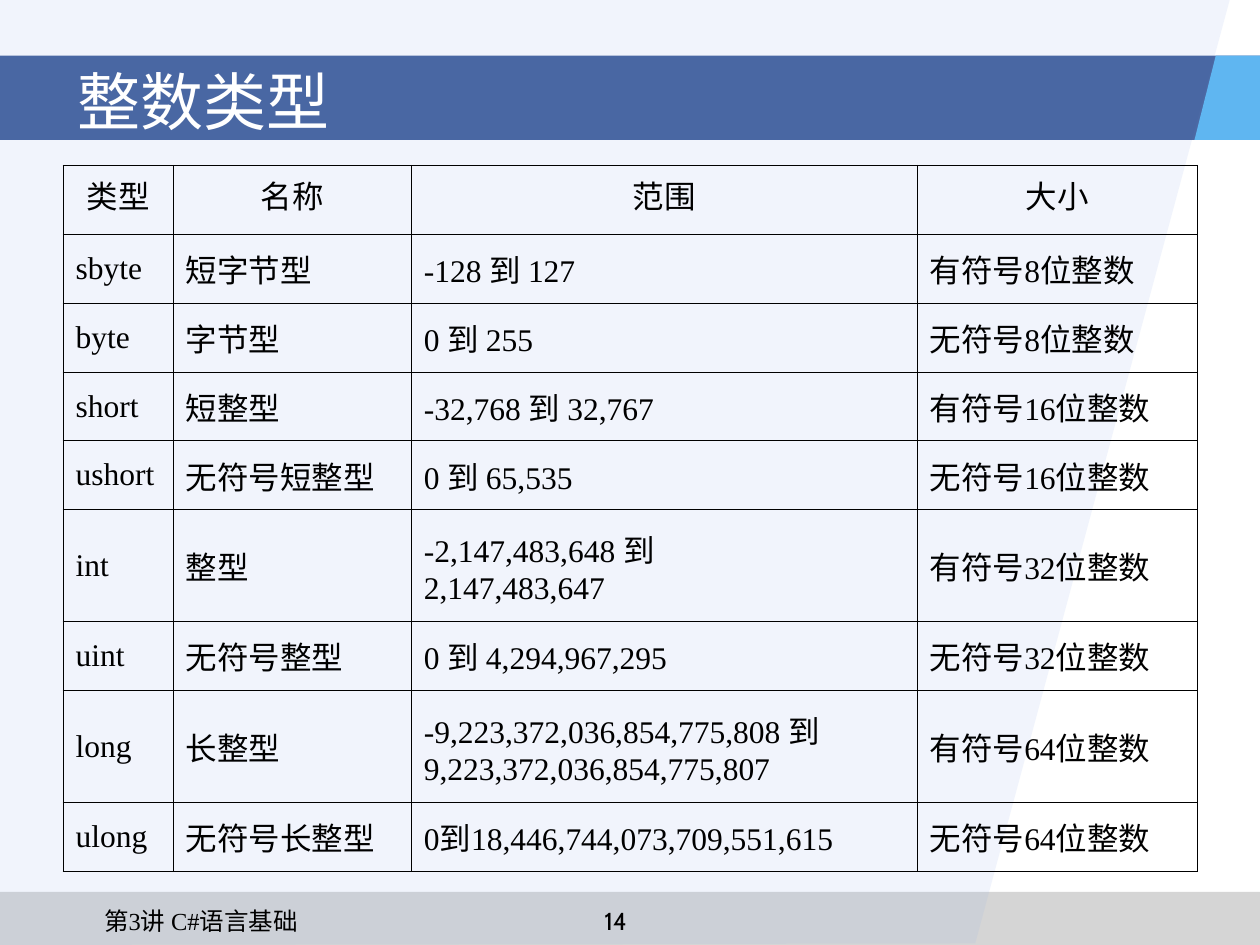
from lxml import etree
from pptx import Presentation
from pptx import util as u
from pptx.dml.color import RGBColor
from pptx.enum import shapes, text
from pptx.oxml.ns import qn

TITLE = "整数类型"
FOOTER = "第3讲 C#语言基础"
PAGE = "14"
HEADER = ["类型", "名称", "范围", "大小"]
TYPES = [
    ["sbyte", "短字节型", "-128 到 127", "有符号8位整数"],
    ["byte", "字节型", "0 到 255", "无符号8位整数"],
    ["short", "短整型", "-32,768 到 32,767", "有符号16位整数"],
    ["ushort", "无符号短整型", "0 到 65,535", "无符号16位整数"],
    ["int", "整型", "-2,147,483,648 到\n2,147,483,647", "有符号32位整数"],
    ["uint", "无符号整型", "0 到 4,294,967,295", "无符号32位整数"],
    ["long", "长整型", "-9,223,372,036,854,775,808 到\n9,223,372,036,854,775,807",
     "有符号64位整数"],
    ["ulong", "无符号长整型", "0到18,446,744,073,709,551,615", "无符号64位整数"],
]
COLUMNS = [2.22, 4.8, 10.2, 5.64]
ROW, TALL_ROW = 1.39, 2.26
SERIF, SANS = "Times New Roman", "Cabin"
WIDTH, HEIGHT = 25.4, 19.05
BAND_TOP, BAND_HEIGHT = 1.12, 1.7
BAND_BOTTOM = BAND_TOP + BAND_HEIGHT
FOOT_TOP = 17.98


def rgb(value):
    return RGBColor.from_string(value)


def paint(sp, color, alpha=100):
    sp.shadow.inherit = False
    sp.line.fill.background()
    sp.fill.solid()
    sp.fill.fore_color.rgb = rgb(color)
    if alpha < 100:
        node = sp.fill._xPr.find(".//" + qn("a:srgbClr"))
        etree.SubElement(node, qn("a:alpha"), val=str(alpha * 1000))


def add_band(s, top, height, color, alpha):
    sp = s.shapes.add_shape(shapes.MSO_SHAPE.RECTANGLE, 0, u.Cm(top), u.Cm(WIDTH), u.Cm(height))
    paint(sp, color, alpha)


def add_polygon(s, points, color, alpha=100):
    start, *rest = [(u.Cm(x), u.Cm(y)) for x, y in points]
    builder = s.shapes.build_freeform(*start)
    builder.add_line_segments(rest, close=True)
    paint(builder.convert_to_shape(), color, alpha)


def write(tf, content, size=18, font=SERIF, color="000000",
          align=text.PP_ALIGN.LEFT, anchor=text.MSO_ANCHOR.TOP):
    tf.word_wrap = True
    tf.vertical_anchor = anchor
    tf.text = content
    for p in tf.paragraphs:
        p.alignment = align
        for r in p.runs:
            r.font.size = u.Pt(size)
            r.font.name = font
            r.font.color.rgb = rgb(color)


def add_label(s, left, width, content, inset=0.25, **style):
    box = s.shapes.add_textbox(u.Cm(left), u.Cm(18.14), u.Cm(width), u.Cm(0.62))
    write(box.text_frame, content, size=14, **style)
    box.text_frame.margin_left = u.Cm(inset)


def add_borders(cell):
    tc_pr = cell._tc.get_or_add_tcPr()
    for i, side in enumerate(("lnL", "lnR", "lnT", "lnB")):
        ln = etree.Element(qn("a:" + side), w=str(u.Pt(0.45)))
        fill = etree.SubElement(ln, qn("a:solidFill"))
        etree.SubElement(fill, qn("a:srgbClr"), val="000000")
        tc_pr.insert(i, ln)


def add_types_table(s):
    rows = [HEADER] + TYPES
    heights = [TALL_ROW if "\n" in row[2] else ROW for row in rows]
    frame = s.shapes.add_table(len(rows), len(COLUMNS), u.Cm(1.27), u.Cm(3.33),
                               u.Cm(sum(COLUMNS)), u.Cm(sum(heights)))
    table = frame.table
    table.first_row = table.horz_banding = False
    for column, width in zip(table.columns, COLUMNS):
        column.width = u.Cm(width)
    for i, (row, height) in enumerate(zip(rows, heights)):
        table.rows[i].height = u.Cm(height)
        for j, content in enumerate(row):
            cell = table.cell(i, j)
            write(cell.text_frame, content,
                  align=text.PP_ALIGN.LEFT if i else text.PP_ALIGN.CENTER)
            cell.vertical_anchor = text.MSO_ANCHOR.MIDDLE if i else text.MSO_ANCHOR.TOP
            cell.fill.background()
            add_borders(cell)


def main():
    prs = Presentation()
    prs.slide_width, prs.slide_height = u.Cm(WIDTH), u.Cm(HEIGHT)
    s = prs.slides.add_slide(prs.slide_layouts[5])

    add_band(s, FOOT_TOP, HEIGHT - FOOT_TOP, "969696", 40)
    add_polygon(s, [(0, 0), (24.79, 0), (19.66, 19.02), (0, HEIGHT)], "94B1EC", 13)
    add_band(s, BAND_TOP, BAND_HEIGHT, "173D89", 77)
    add_polygon(s, [(24.51, BAND_TOP), (24.08, BAND_BOTTOM),
                    (WIDTH, BAND_BOTTOM), (WIDTH, BAND_TOP)], "5FB6F1")

    title = s.shapes.title
    title.left, title.top, title.width, title.height = map(u.Cm, (1.3, 0.91, 22.86, 2.21))
    write(title.text_frame, TITLE, size=36, font=SANS, color="FFFFFF",
          anchor=text.MSO_ANCHOR.MIDDLE)
    s.shapes._spTree.append(title._element)

    add_types_table(s)
    add_label(s, 1.24, 9.04, FOOTER, inset=0.86)
    add_label(s, 10.72, 3.38, PAGE, font=SANS, align=text.PP_ALIGN.CENTER)
    prs.save("out.pptx")


if __name__ == "__main__":
    main()
